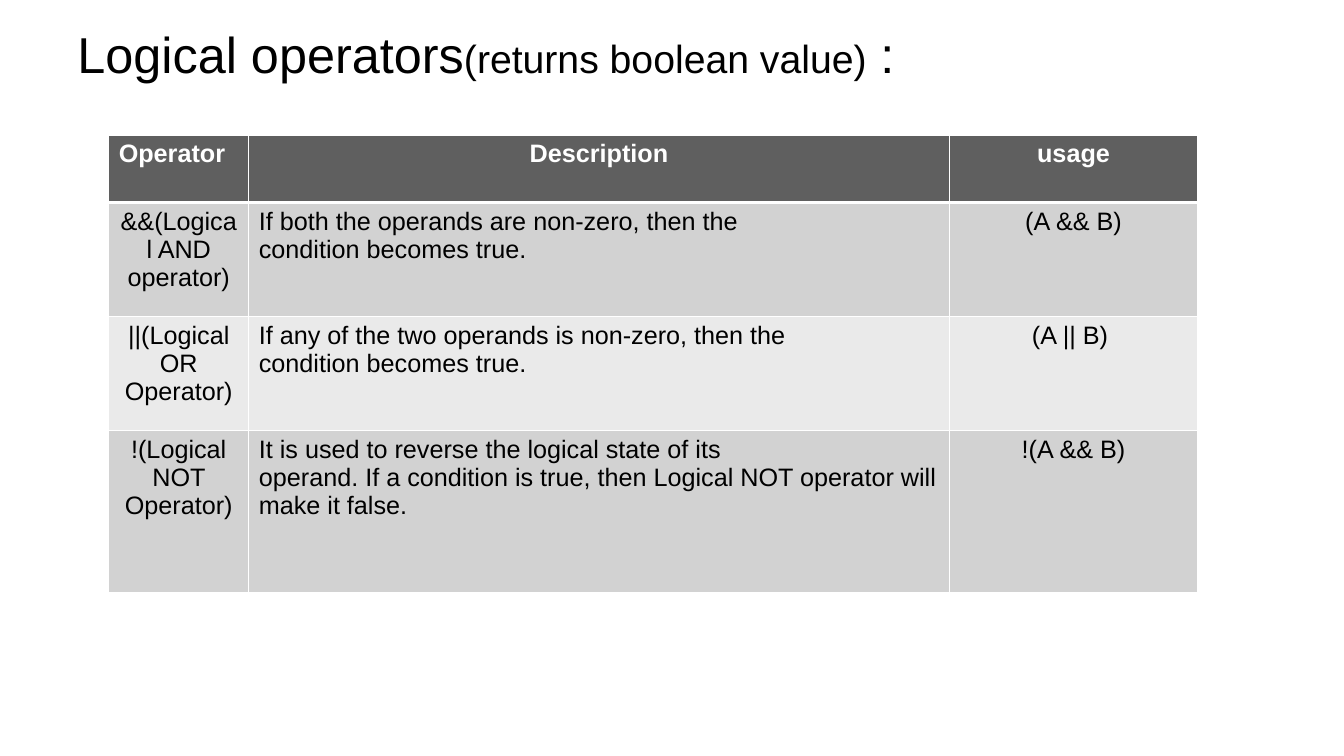
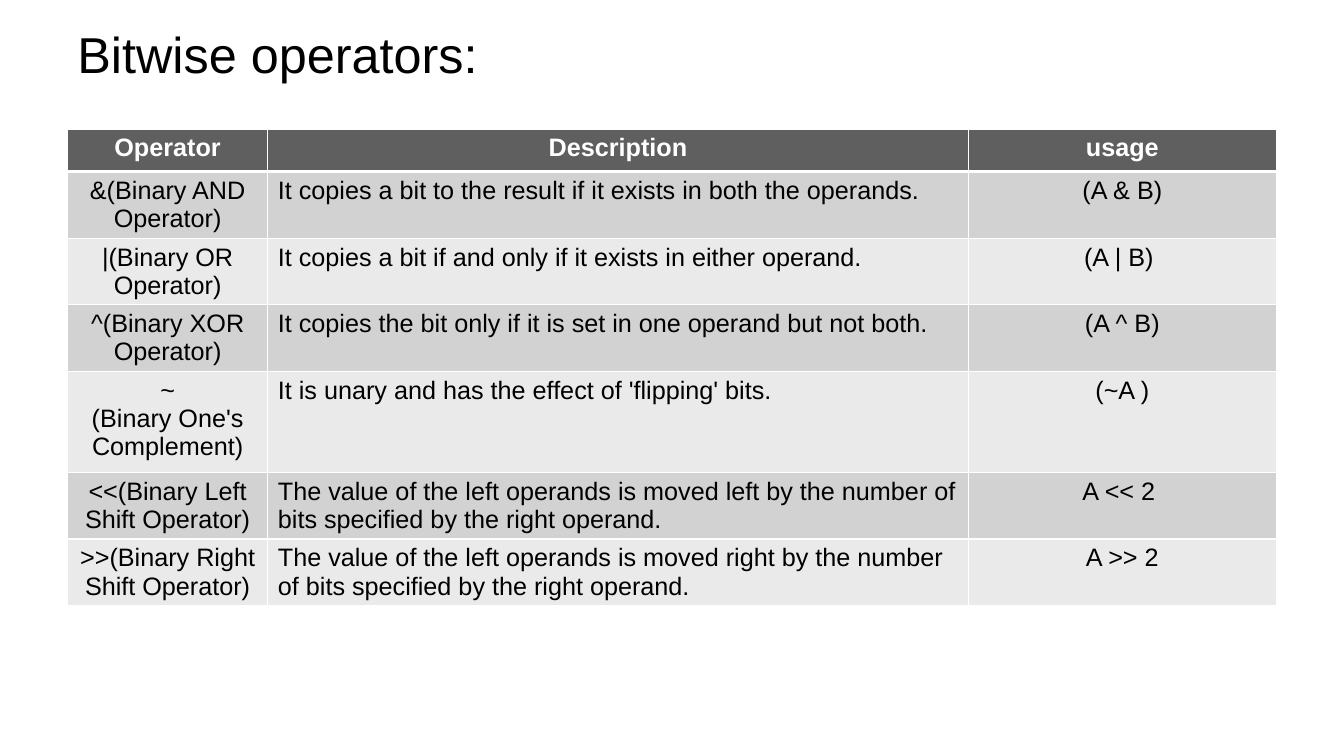
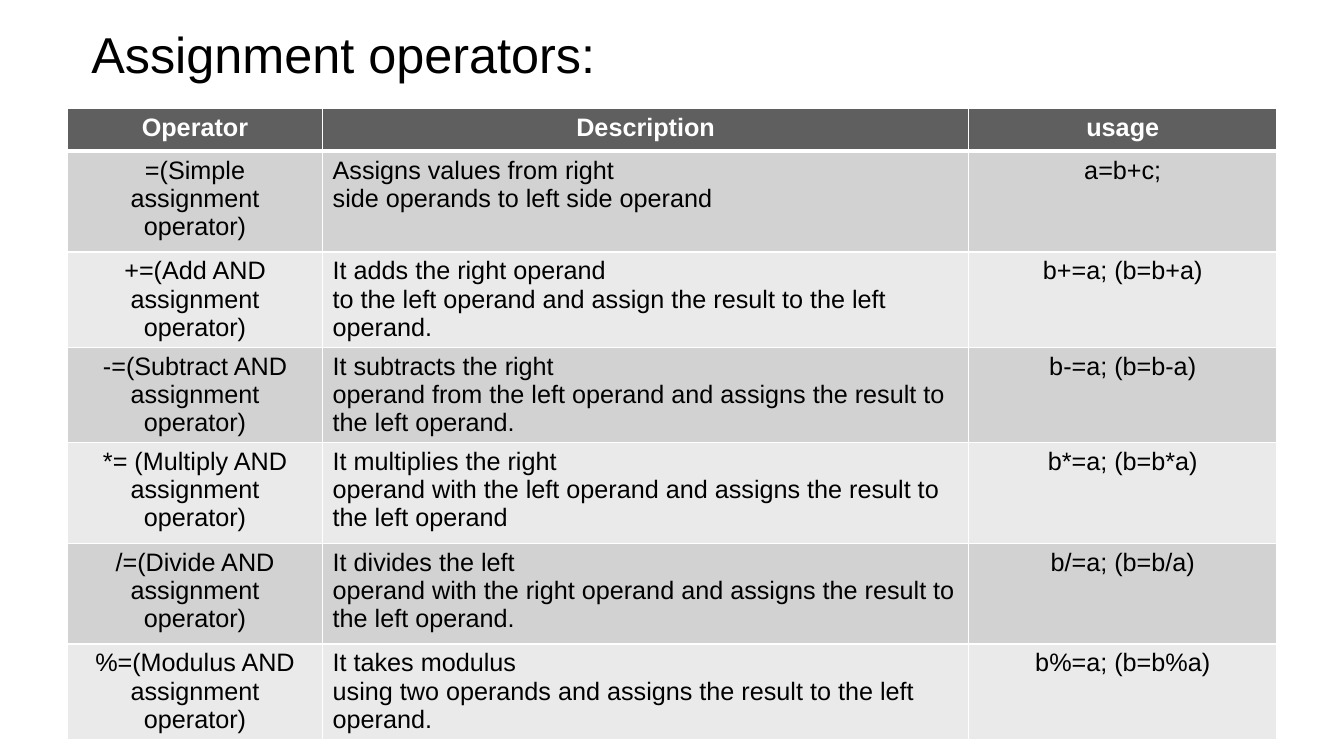
from lxml.etree import SubElement
from pptx import Presentation
from pptx.dml.color import RGBColor
from pptx.enum.text import MSO_ANCHOR, MSO_AUTO_SIZE, PP_ALIGN
from pptx.oxml.ns import qn
from pptx.util import Cm, Pt

COLORS = {
    "text": "000000",
    "header": "5F5F5F",
    "header text": "FFFFFF",
    "odd row": "D2D2D2",
    "even row": "EAEAEA",
    "border": "FFFFFF",
}
FONT = "Arial"
HEADINGS = ("Operator", "Description", "usage")
DESCRIPTION_COLUMN = 1


class OperatorDeck:
    """Holds the shared style and the current slide."""

    def __init__(self):
        self.deck = Presentation()
        self.deck.slide_width = Cm(33.87)
        self.deck.slide_height = Cm(19.05)
        self.page = None

    def add_page(self, *title_spans, indent=0):
        """Start a slide whose title is made of (text, size) spans."""
        self.page = self.deck.slides.add_slide(self.deck.slide_layouts[5])
        title = self.page.shapes.title
        title.left, title.top = Cm(1.7), Cm(0.53)
        title.width, title.height = Cm(30.48), Cm(1.63)
        frame = title.text_frame
        frame.auto_size = MSO_AUTO_SIZE.NONE
        frame.vertical_anchor = MSO_ANCHOR.MIDDLE
        frame.margin_left = Cm(0.25 + indent)
        para = frame.paragraphs[0]
        para.alignment = PP_ALIGN.LEFT
        for text, size in title_spans:
            self.add_span(para, text, size, COLORS["text"])

    def add_span(self, para, text, size, color, bold=False):
        span = para.add_run()
        span.text = text
        span.font.name = FONT
        span.font.size = Pt(size)
        span.font.bold = bold
        span.font.color.rgb = RGBColor.from_string(color)

    def add_borders(self, cell, bottom_width):
        properties = cell._tc.get_or_add_tcPr()
        for side, width in (("L", 1), ("R", 1), ("T", 1), ("B", bottom_width)):
            line = SubElement(properties, qn(f"a:ln{side}"), w=str(Pt(width)))
            fill = SubElement(line, qn("a:solidFill"))
            SubElement(fill, qn("a:srgbClr"), val=COLORS["border"])

    def fill_cell(self, cell, text, fill, color, alignment, bold=False):
        """Each line of the text becomes a paragraph."""
        self.add_borders(cell, 3 if bold else 1)
        cell.fill.solid()
        cell.fill.fore_color.rgb = RGBColor.from_string(fill)
        frame = cell.text_frame
        for index, line in enumerate(text.split("\n")):
            para = frame.add_paragraph() if index else frame.paragraphs[0]
            para.alignment = alignment
            self.add_span(para, line, 18, color, bold)

    def add_operator_table(self, left, top, widths, heights, rows,
                           first_heading=PP_ALIGN.CENTER):
        box = self.page.shapes.add_table(
            len(rows) + 1, len(widths), Cm(left), Cm(top),
            Cm(sum(widths)), Cm(sum(heights)))
        table = box.table
        for column, width in zip(table.columns, widths):
            column.width = Cm(width)
        for row, height in zip(table.rows, heights):
            row.height = Cm(height)

        # Heading row
        for column, heading in enumerate(HEADINGS):
            alignment = PP_ALIGN.CENTER if column else first_heading
            self.fill_cell(table.cell(0, column), heading, COLORS["header"],
                           COLORS["header text"], alignment, bold=True)

        # Banded body rows
        for number, texts in enumerate(rows, start=1):
            fill = COLORS["odd row" if number % 2 else "even row"]
            for column, text in enumerate(texts):
                alignment = (PP_ALIGN.LEFT if column == DESCRIPTION_COLUMN
                             else PP_ALIGN.CENTER)
                self.fill_cell(table.cell(number, column), text, fill,
                               COLORS["text"], alignment)


LOGICAL = [
    ("&&(Logical AND operator)",
     "If both the operands are non-zero, then the\ncondition becomes true.",
     "(A && B)"),
    ("||(Logical OR Operator)",
     "If any of the two operands is non-zero, then the\ncondition becomes true.",
     "(A || B) "),
    ("!(Logical NOT Operator)",
     "It is used to reverse the logical state of its\n"
     "operand. If a condition is true, then Logical NOT operator will make it false.",
     "!(A && B)"),
]

BITWISE = [
    ("&(Binary AND Operator)",
     "It copies a bit to the result if it exists in both the operands.",
     "(A & B)"),
    ("|(Binary OR Operator)",
     "It copies a bit if and only if it exists in either operand.",
     "(A | B) "),
    ("^(Binary XOR Operator)",
     "It copies the bit only if it is set in one operand but not both.",
     "(A ^ B)"),
    ("~\n(Binary One's Complement)",
     "It is unary and has the effect of 'flipping' bits.",
     "(~A )"),
    ("<<(Binary Left Shift Operator)",
     "The value of the left operands is moved left by the number of bits "
     "specified by the right operand.",
     "A << 2 "),
    (">>(Binary Right Shift Operator)",
     "The value of the left operands is moved right by the number of bits "
     "specified by the right operand.",
     "A >> 2"),
]

ASSIGNMENT = [
    ("=(Simple assignment operator)",
     "Assigns values from right\nside operands to left side operand",
     "a=b+c;"),
    ("+=(Add AND assignment operator)",
     "It adds the right operand\n"
     "to the left operand and assign the result to the left\noperand.",
     "b+=a; (b=b+a)"),
    ("-=(Subtract AND assignment operator)",
     "It subtracts the right\n"
     "operand from the left operand and assigns the result to\nthe left operand.",
     "b-=a; (b=b-a)"),
    ("*= (Multiply AND assignment operator)",
     "It multiplies the right\n"
     "operand with the left operand and assigns the result to\nthe left operand",
     "b*=a; (b=b*a)"),
    ("/=(Divide AND assignment operator)",
     "It divides the left\n"
     "operand with the right operand and assigns the result to\nthe left operand.",
     "b/=a; (b=b/a)"),
    ("%=(Modulus AND assignment operator)",
     "It takes modulus\n"
     "using two operands and assigns the result to the left\noperand.",
     "b%=a; (b=b%a)"),
]


def main():
    show = OperatorDeck()

    # Logical operators
    show.add_page(("Logical operators", 36), ("(returns boolean value)", 28),
                  (" :", 36))
    show.add_operator_table(2.74, 3.4, (3.53, 17.65, 6.27),
                            (1.7, 2.87, 2.87, 4.09), LOGICAL,
                            first_heading=PP_ALIGN.LEFT)

    # Bitwise operators
    show.add_page(("Bitwise operators:", 36))
    show.add_operator_table(1.7, 3.25, (5.05, 17.65, 7.77),
                            (1.07, 1.68, 1.68, 1.68, 2.54, 1.68, 1.68), BITWISE)

    # Assignment operators
    show.add_page(("Assignment operators:", 36), indent=0.35)
    show.add_operator_table(1.7, 2.74, (6.43, 16.28, 7.77),
                            (1.07, 2.54, 2.4, 2.4, 2.54, 2.54, 2.4), ASSIGNMENT)

    show.deck.save("out.pptx")


if __name__ == "__main__":
    main()
